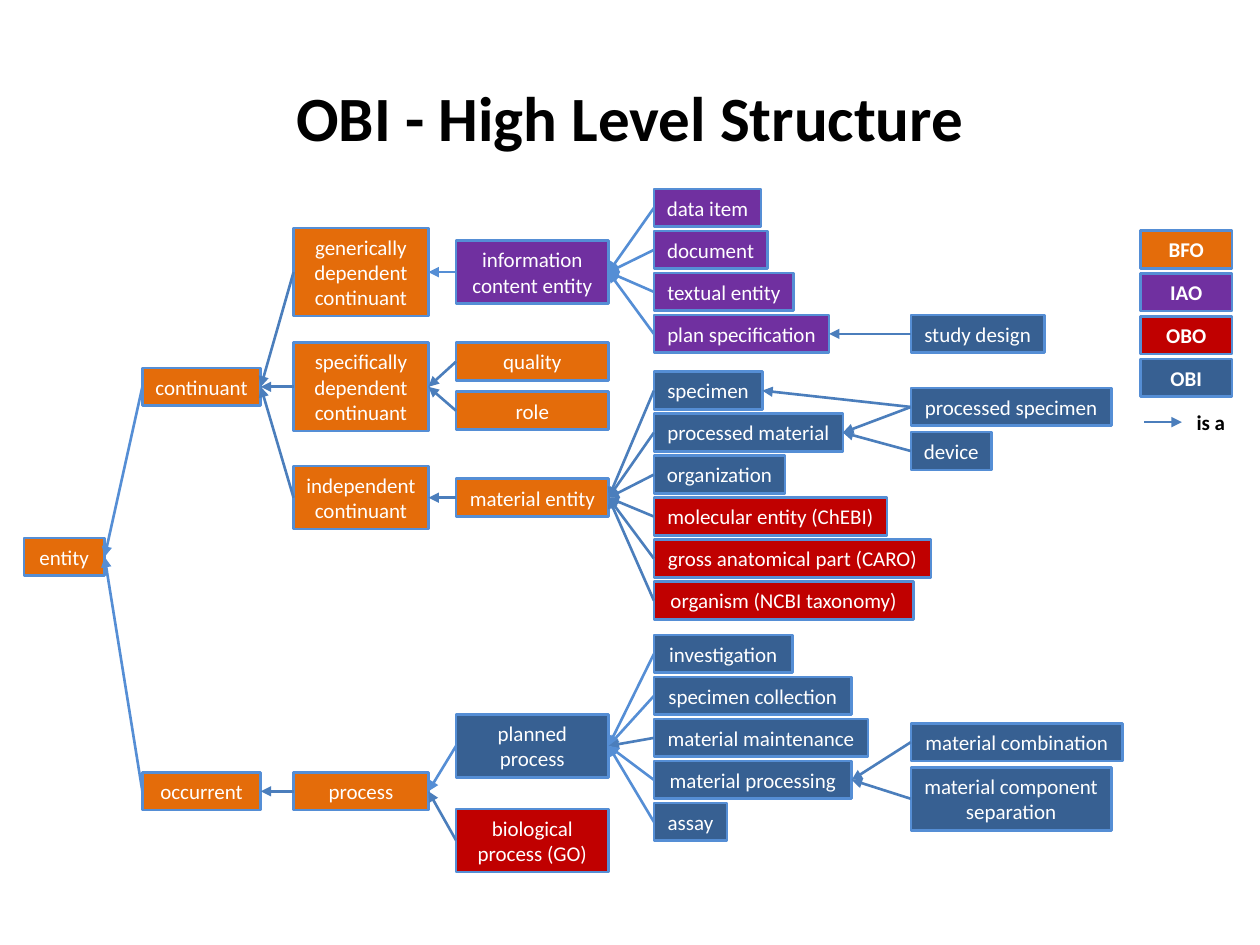
import pptx
import pptx.dml.color
import pptx.enum.shapes
import pptx.enum.text
import pptx.oxml.ns
import pptx.oxml.xmlchemy
import pptx.util

COLORS = {
    "BFO": "E46C0A", "IAO": "7030A0", "OBO": "C00000", "OBI": "376092",
    "border": "558ED5", "arrow": "4B7EBC", "light": "558ED5",
    "white": "FFFFFF", "black": "000000",
}
FONT = "Calibri"
TITLE = "OBI - High Level Structure"
LEGEND = ["BFO", "IAO", "OBO", "OBI"]
LEGEND_ARROW = "is a"

COLUMN_LEFTS = [0.19, 1.13, 2.33, 3.62, 5.19, 7.23]
COLUMN_WIDTHS = [0.64, 0.94, 1.07, 1.21]
LINE_HEIGHT, BOX_PADDING = 0.2, 0.1
ROW_PITCH = 1 / 3
LEGEND_LEFT, LEGEND_WIDTH, LEGEND_TOP, LEGEND_PITCH = 9.05, 0.73, 1.98, 0.34

INFORMATION = "information\ncontent entity"
PLANNED = "planned\nprocess"
GENERIC = "generically\ndependent\ncontinuant"
SPECIFIC = "specifically\ndependent\ncontinuant"
INDEPENDENT = "independent\ncontinuant"
MATERIAL = "material entity"
LIGHT_ENDS = {"entity", INFORMATION, PLANNED}
DARK_CHILDREN = {"material maintenance"}

NODES = [
    (0, 4.42, "BFO", "entity", []),
    (1, 3.07, "BFO", "continuant", ["entity"]),
    (1, 6.28, "BFO", "occurrent", ["entity"]),
    (2, 2.16, "BFO", GENERIC, ["continuant"]),
    (2, 3.07, "BFO", SPECIFIC, ["continuant"]),
    (2, 3.95, "BFO", INDEPENDENT, ["continuant"]),
    (2, 6.28, "BFO", "process", ["occurrent"]),
    (3, 2.16, "IAO", INFORMATION, [GENERIC]),
    (3, 2.87, "BFO", "quality", [SPECIFIC]),
    (3, 3.26, "BFO", "role", [SPECIFIC]),
    (3, 3.95, "BFO", MATERIAL, [INDEPENDENT]),
    (3, 5.92, "OBI", PLANNED, ["process"]),
    (3, 6.67, "OBO", "biological\nprocess (GO)", ["process"]),
]
STACKS = [
    (1.65, INFORMATION, [
        ("IAO", "data item", 0.85), ("IAO", "document", 0.9),
        ("IAO", "textual entity", 1.11), ("IAO", "plan specification", 1.39)]),
    (3.1, MATERIAL, [
        ("OBI", "specimen", 0.86), ("OBI", "processed material", 1.5),
        ("OBI", "organization", 1.04), ("OBO", "molecular entity (ChEBI)", 1.85),
        ("OBO", "gross anatomical part (CARO)", 2.2),
        ("OBO", "organism (NCBI taxonomy)", 2.06)]),
    (5.19, PLANNED, [
        ("OBI", "investigation", 1.1), ("OBI", "specimen collection", 1.57),
        ("OBI", "material maintenance", 1.7),
        ("OBI", "material processing", 1.57), ("OBI", "assay", 0.58)]),
]
LEAVES = [
    (2.65, "study design", 1.06, ["plan specification"]),
    (3.23, "processed specimen", 1.59, ["specimen", "processed material"]),
    (3.58, "device", 0.64, ["processed material"]),
    (5.89, "material combination", 1.68, ["material processing"]),
    (6.34, "material component\nseparation", 1.59, ["material processing"]),
]


def color(name):
    return pptx.dml.color.RGBColor.from_string(COLORS[name])


def write_text(shape, text, size, color_name, bold=False):
    frame = shape.text_frame
    frame.word_wrap = False
    frame.vertical_anchor = pptx.enum.text.MSO_ANCHOR.MIDDLE
    for index, line in enumerate(text.split("\n")):
        paragraph = frame.add_paragraph() if index else frame.paragraphs[0]
        paragraph.alignment = pptx.enum.text.PP_ALIGN.CENTER
        run = paragraph.add_run()
        run.text = line
        run.font.name = FONT
        run.font.size = pptx.util.Pt(size)
        run.font.bold = bold
        run.font.color.rgb = color(color_name)


def add_box(slide, left, middle, width, source, text, bold=False):
    height = BOX_PADDING + LINE_HEIGHT * len(text.split("\n"))
    shape = slide.shapes.add_shape(
        pptx.enum.shapes.MSO_SHAPE.RECTANGLE,
        *map(pptx.util.Inches, (left, middle - height / 2, width, height)))
    shape.shadow.inherit = False
    shape.fill.solid()
    shape.fill.fore_color.rgb = color(source)
    shape.line.color.rgb = color("border")
    shape.line.width = pptx.util.Pt(1.5)
    write_text(shape, text, 12, "white", bold)
    return shape


def add_label(slide, left, top, width, height, text, size):
    shape = slide.shapes.add_textbox(*map(pptx.util.Inches, (left, top, width, height)))
    write_text(shape, text, size, "black", True)


def add_arrow(slide, color_name, start=(0, 0), end=(0, 0)):
    connector = slide.shapes.add_connector(
        pptx.enum.shapes.MSO_CONNECTOR.STRAIGHT, *map(pptx.util.Inches, start + end))
    connector.line.color.rgb = color(color_name)
    connector.line.width = pptx.util.Pt(1.5)
    head = pptx.oxml.xmlchemy.OxmlElement("a:tailEnd")
    head.set("type", "triangle")
    connector.get_or_add_ln().append(head)
    properties = connector.element.find(pptx.oxml.ns.qn("p:spPr"))
    properties.append(pptx.oxml.xmlchemy.OxmlElement("a:effectLst"))
    return connector


def add_tree(slide):
    entries = [(column, middle, COLUMN_WIDTHS[column], source, text, parents)
               for column, middle, source, text, parents in NODES]
    for first, parent, members in STACKS:
        entries += [(4, first + row * ROW_PITCH, width, source, text, [parent])
                    for row, (source, text, width) in enumerate(members)]
    entries += [(5, middle, width, "OBI", text, parents)
                for middle, text, width, parents in LEAVES]

    boxes = {text: add_box(slide, COLUMN_LEFTS[column], middle, width, source, text)
             for column, middle, width, source, text, _ in entries}
    for *_, child, parents in entries:
        for parent in parents:
            light = LIGHT_ENDS & {child, parent} and child not in DARK_CHILDREN
            connector = add_arrow(slide, "light" if light else "arrow")
            connector.begin_connect(boxes[child], 1)
            connector.end_connect(boxes[parent], 3)


def add_legend(slide):
    for row, source in enumerate(LEGEND):
        add_box(slide, LEGEND_LEFT, LEGEND_TOP + row * LEGEND_PITCH,
                LEGEND_WIDTH, source, source, True)
    add_arrow(slide, "arrow", (9.08, 3.35), (9.38, 3.35))
    add_label(slide, 9.39, 3.2, 0.44, 0.3, LEGEND_ARROW, 12)


def main():
    presentation = pptx.Presentation()
    presentation.slide_width = pptx.util.Inches(10)
    presentation.slide_height = pptx.util.Inches(7.5)
    slide = presentation.slides.add_slide(presentation.slide_layouts[6])
    add_label(slide, 0.5, 0.3, 9, 1.25, TITLE, 36)
    add_legend(slide)
    add_tree(slide)
    presentation.save("out.pptx")


if __name__ == "__main__":
    main()
